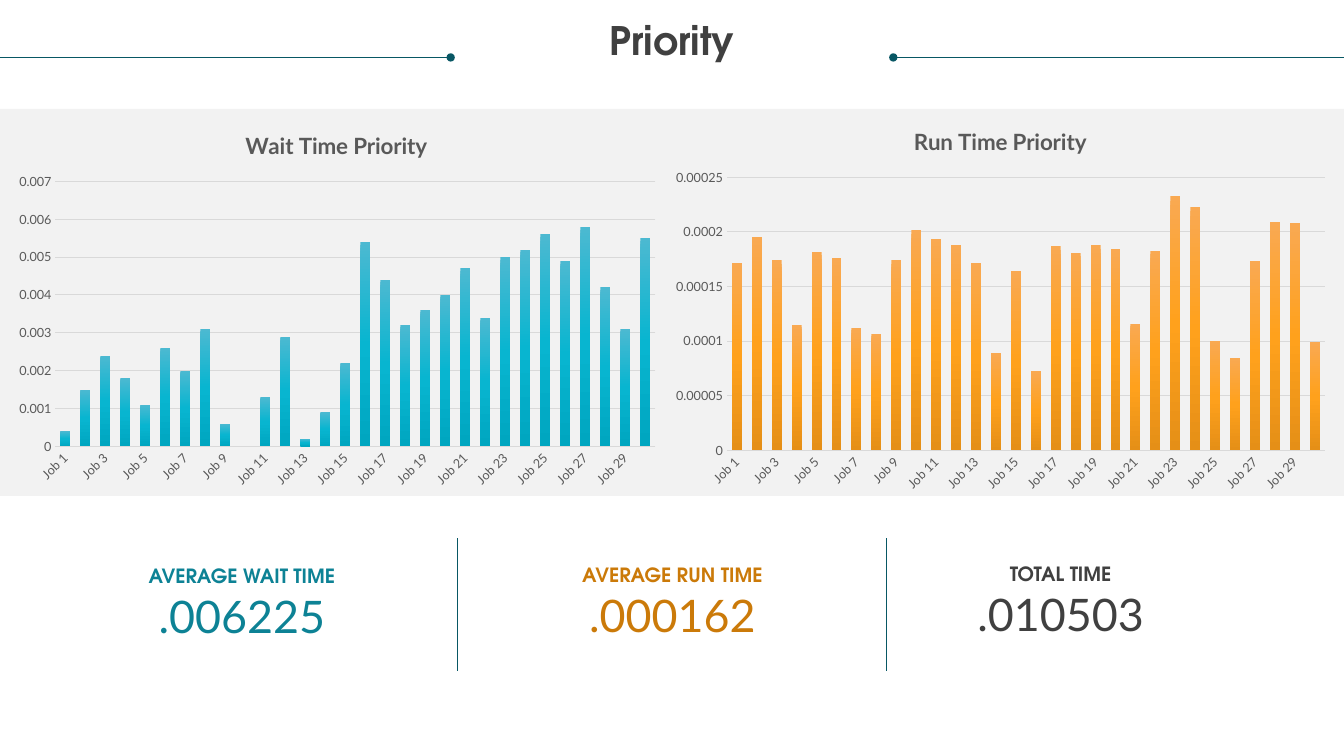
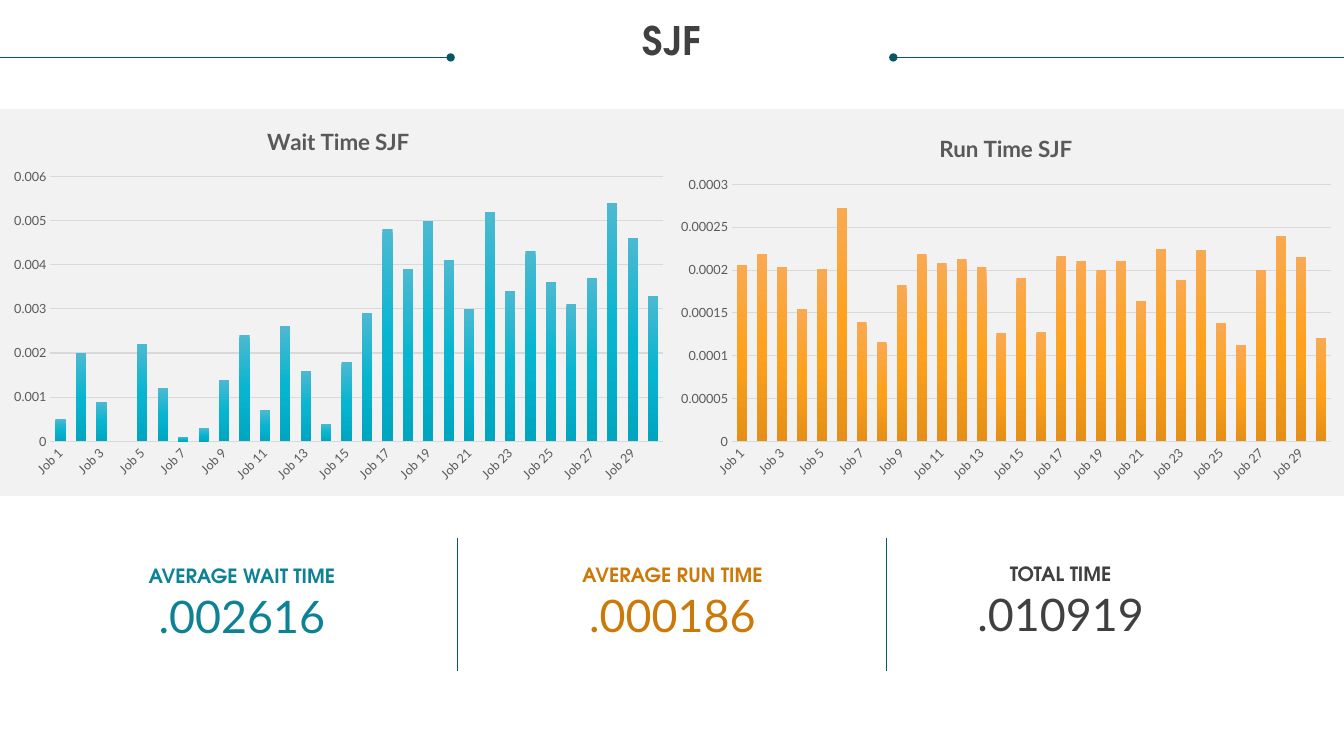
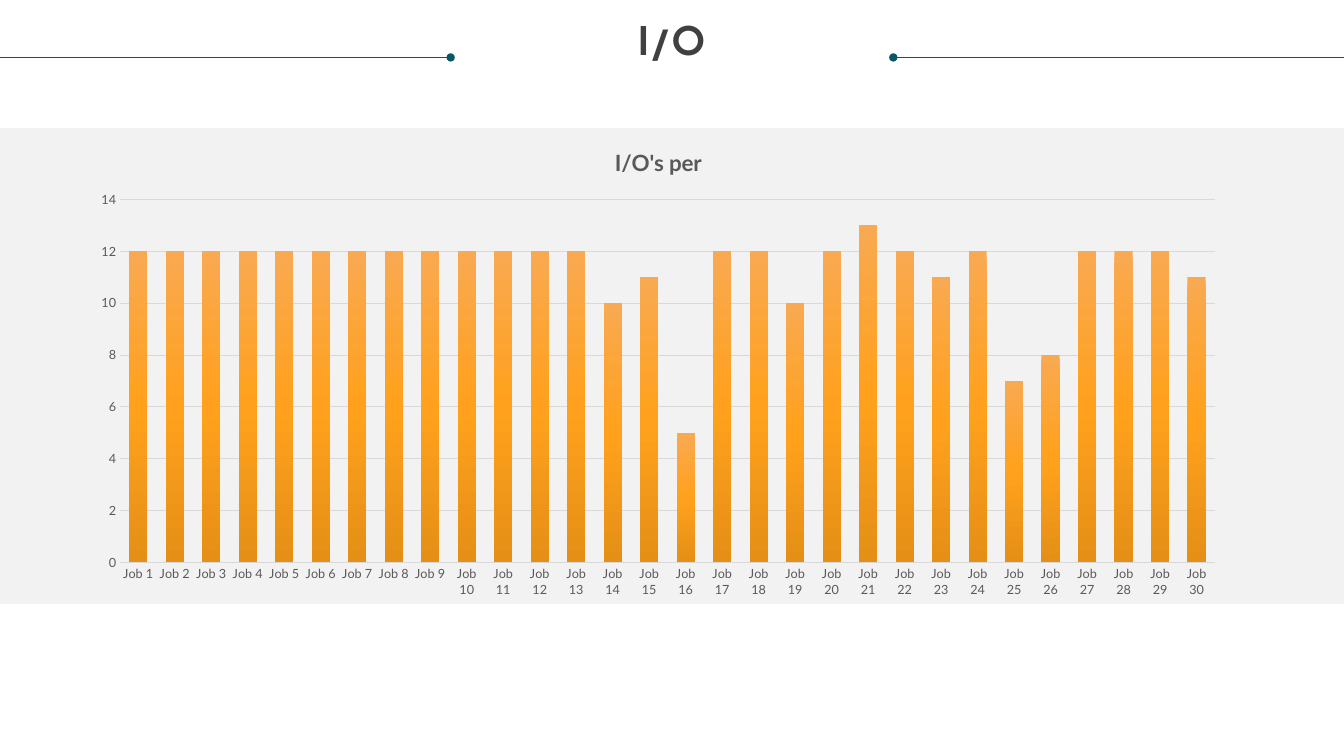
from dataclasses import dataclass

from lxml import etree
from pptx import Presentation
from pptx.chart.data import CategoryChartData
from pptx.dml.color import RGBColor
from pptx.enum import chart as ch, shapes, text
from pptx.oxml import parse_xml
from pptx.oxml.ns import nsdecls, qn
from pptx.util import Inches, Pt


@dataclass(frozen=True)
class Theme:
    head: str = "TeX Gyre Adventor"
    body: str = "Lato"
    dark: str = "404040"
    teal: str = "0D8295"
    orange: str = "CB7A09"
    rule: str = "085764"
    band: str = "F2F2F2"
    axis: str = "595959"
    grid: str = "D9D9D9"
    wait_bars: tuple = ("4CB9D1", "08B5D0", "00A6C0")
    run_bars: tuple = ("F9A952", "FFA11C", "E58F17")
    title_pt: int = 28
    value_pt: int = 32
    label_pt: int = 14
    chart_title_pt: int = 16
    chart_pt: int = 10
    axis_pt: int = 9


T = Theme()
WIDTH, HEIGHT = 13.33, 7.5
JOBS = [f"Job {n}" for n in range(1, 31)]

# Content: box and plot are left, top, width, height in inches;
# values are whole numbers times the scale
METRICS = [
    ("AVERAGE WAIT TIME", T.teal, 0.9, 5.56),
    ("AVERAGE RUN TIME", T.orange, 5.17, 5.55),
    ("TOTAL TIME", T.dark, 9.02, 5.54),
]
SLIDES = [
    dict(title="Priority", band=(1.08, 3.84),
         metrics=(".006225", ".000162", ".010503"),
         charts=[
             dict(title="Wait Time Priority", bars=T.wait_bars,
                  box=(0.05, 1.12, 6.57, 3.8), plot=(0.55, 1.8, 5.95, 2.63),
                  top=0.007, step=0.001, slant=-45, scale=10000,
                  vals=[4, 15, 24, 18, 11, 26, 20, 31, 6, 0,
                        13, 29, 2, 9, 22, 54, 44, 32, 36, 40,
                        47, 34, 50, 52, 56, 49, 58, 42, 31, 55]),
             dict(title="Run Time Priority", bars=T.run_bars,
                  box=(6.57, 1.08, 6.7, 3.88), plot=(7.21, 1.76, 5.93, 2.71),
                  top=0.00025, step=0.00005, slant=-45, scale=1000000,
                  vals=[172, 195, 174, 115, 182, 176, 112, 107, 174, 202,
                        194, 188, 172, 89, 164, 73, 187, 181, 188, 184,
                        116, 183, 233, 223, 100, 85, 173, 209, 208, 99]),
         ]),
    dict(title="SJF", band=(1.08, 3.84),
         metrics=(".002616", ".000186", ".010919"),
         charts=[
             dict(title="Run Time SJF", bars=T.run_bars,
                  box=(6.62, 1.15, 6.71, 3.71), plot=(7.26, 1.83, 5.94, 2.55),
                  top=0.0003, step=0.00005, slant=-45, scale=1000000,
                  vals=[206, 219, 204, 155, 201, 272, 139, 116, 182, 219,
                        208, 213, 203, 126, 191, 128, 216, 211, 200, 210,
                        164, 225, 189, 223, 138, 112, 200, 240, 215, 121]),
             dict(title="Wait Time SJF", bars=T.wait_bars,
                  box=(0, 1.08, 6.71, 3.79), plot=(0.5, 1.75, 6.08, 2.63),
                  top=0.006, step=0.001, slant=-45, scale=10000,
                  vals=[5, 20, 9, 0, 22, 12, 1, 3, 14, 24,
                        7, 26, 16, 4, 18, 29, 48, 39, 50, 41,
                        30, 52, 34, 43, 36, 31, 37, 54, 46, 33]),
         ]),
    dict(title="I/O", band=(1.27, 4.72), metrics=(),
         charts=[
             dict(title="I/O's per", bars=T.run_bars,
                  box=(0.78, 1.27, 11.5, 4.76), plot=(1.19, 1.98, 10.86, 3.6),
                  top=14, step=2, slant=0, scale=1,
                  vals=[12] * 13 + [10, 11, 5, 12, 12, 10, 12, 13,
                                    12, 11, 12, 7, 8, 12, 12, 12, 11]),
         ]),
]


# Helpers
def rgb(value):
    return RGBColor.from_string(value)


def style(font, name, size, color, bold=False):
    font.name, font.size, font.bold = name, Pt(size), bold
    font.color.rgb = rgb(color)


def add_text(s, box, words, name, size, color, bold=False, spacing=None):
    tf = s.shapes.add_textbox(*map(Inches, box)).text_frame
    tf.word_wrap = True
    tf.auto_size = text.MSO_AUTO_SIZE.SHAPE_TO_FIT_TEXT
    tf.margin_left = tf.margin_right = tf.margin_top = tf.margin_bottom = 0
    p = tf.paragraphs[0]
    p.alignment = text.PP_ALIGN.CENTER
    p.line_spacing = spacing
    r = p.add_run()
    r.text = words
    style(r.font, name, size, color, bold)


def add_line(s, start, end, dot=None):
    line = s.shapes.add_connector(shapes.MSO_CONNECTOR.STRAIGHT,
                                  *map(Inches, start + end))
    line.line.color.rgb = rgb(T.rule)
    line.line.width = Pt(0.5)
    if dot:
        etree.SubElement(line.line._get_or_add_ln(), qn(f"a:{dot}"), type="oval")
    etree.SubElement(line._element.spPr, qn("a:effectLst"))


def fill_bars(series, colors):
    stops = "".join(f'<a:gs pos="{i * 50000}"><a:srgbClr val="{c}"/></a:gs>'
                    for i, c in enumerate(colors))
    series.format.fill.background()
    sp_pr = series._element.spPr
    sp_pr.replace(sp_pr.find(qn("a:noFill")), parse_xml(
        f'<a:gradFill {nsdecls("a")} rotWithShape="1"><a:gsLst>{stops}</a:gsLst>'
        '<a:lin ang="5400000" scaled="0"/></a:gradFill>'))


def place_plot(chart, box, plot):
    parts = zip("xywh", (plot[0] - box[0], plot[1] - box[1], plot[2], plot[3]),
                (box[2], box[3]) * 2)
    sizes = "".join(f'<c:{k} val="{a / b:.4f}"/>' for k, a, b in parts)
    area = chart._chartSpace.chart.plotArea
    for old in area.findall(qn("c:layout")):
        area.remove(old)
    area.insert(0, parse_xml(
        f'<c:layout {nsdecls("c")}><c:manualLayout><c:layoutTarget val="inner"/>'
        '<c:xMode val="edge"/><c:yMode val="edge"/>'
        f'{sizes}</c:manualLayout></c:layout>'))


def add_bars(s, item):
    data = CategoryChartData()
    data.categories = JOBS
    data.add_series("Series 1", [v / item["scale"] for v in item["vals"]])
    chart = s.shapes.add_chart(ch.XL_CHART_TYPE.COLUMN_CLUSTERED,
                               *map(Inches, item["box"]), data).chart
    chart.font.name, chart.font.size = T.body, Pt(T.chart_pt)
    chart.has_legend = False

    chart.has_title = True
    chart.chart_title.include_in_layout = False
    r = chart.chart_title.text_frame.paragraphs[0].add_run()
    r.text = item["title"]
    style(r.font, T.body, T.chart_title_pt, T.axis, True)

    # Axes
    cat, val = chart.category_axis, chart.value_axis
    for axis in (cat, val):
        axis.major_tick_mark = axis.minor_tick_mark = ch.XL_TICK_MARK.NONE
        style(axis.tick_labels.font, T.body, T.axis_pt, T.axis)
    body = cat._element.find(qn("c:txPr")).find(qn("a:bodyPr"))
    body.set("rot", str(item["slant"] * 60000))
    body.set("vert", "horz")
    cat.format.line.color.rgb = rgb(T.grid)
    cat.format.line.width = Pt(1)
    val.format.line.fill.background()
    val.minimum_scale, val.maximum_scale = 0, item["top"]
    val.major_unit = item["step"]
    val.major_gridlines.format.line.color.rgb = rgb(T.grid)
    val.major_gridlines.format.line.width = Pt(0.75)

    # Bars
    bars = chart.plots[0]
    bars.gap_width, bars.overlap, bars.vary_by_categories = 100, -24, False
    fill_bars(bars.series[0], item["bars"])
    place_plot(chart, item["box"], item["plot"])


def add_frame(s, title, band):
    top, height = band
    panel = s.shapes.add_shape(shapes.MSO_SHAPE.RECTANGLE, 0, Inches(top),
                               Inches(WIDTH), Inches(height))
    panel.shadow.inherit = False
    panel.fill.solid()
    panel.fill.fore_color.rgb = rgb(T.band)
    panel.line.fill.background()
    add_text(s, (0.25, 0.21, 12.83, 0.42), title, T.head, T.title_pt, T.dark,
             True, 0.9)
    add_line(s, (0, 0.57), (4.47, 0.57), "tailEnd")
    add_line(s, (8.86, 0.57), (WIDTH, 0.57), "headEnd")


def add_metrics(s, values):
    for x in (4.54, 8.79):
        add_line(s, (x, 5.34), (x, 6.66))
    for (label, color, x, y), value in zip(METRICS, values):
        add_text(s, (x, y + 0.28, 3, 0.54), value, T.body, T.value_pt, color)
        add_text(s, (x, y, 3, 0.24), label, T.head, T.label_pt, color, True, Pt(19))


def main():
    prs = Presentation()
    prs.slide_width, prs.slide_height = Inches(WIDTH), Inches(HEIGHT)
    for page in SLIDES:
        s = prs.slides.add_slide(prs.slide_layouts[6])
        add_frame(s, page["title"], page["band"])
        for item in page["charts"]:
            add_bars(s, item)
        if page["metrics"]:
            add_metrics(s, page["metrics"])
    prs.save("out.pptx")


if __name__ == "__main__":
    main()
